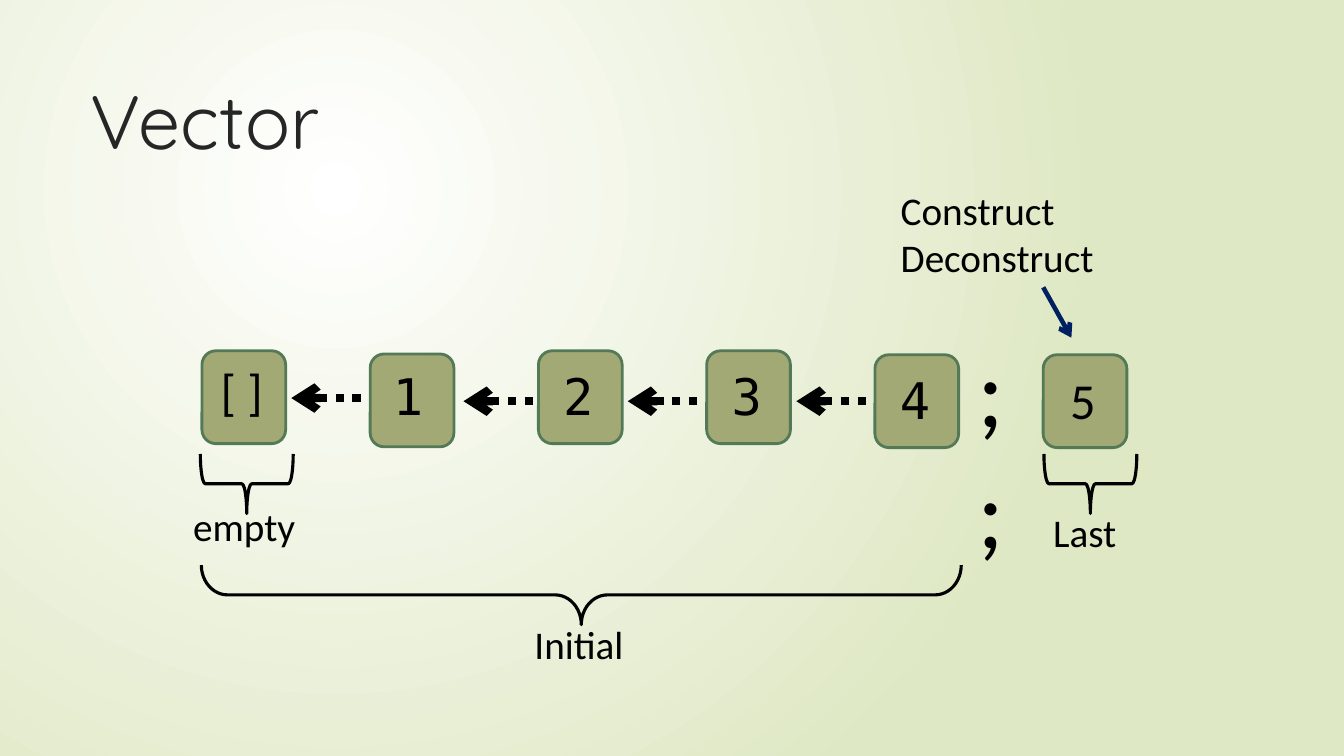
from dataclasses import dataclass

from lxml import etree
from pptx import Presentation
from pptx import util as u
from pptx.dml.color import RGBColor
from pptx.enum import dml, shapes, text
from pptx.oxml.ns import qn

COLORS = {
    "glow": "FFFFFF", "meadow": "DFE8C4", "cell": "A2A975", "edge": "547957",
    "title": "262626", "ink": "000000", "navy": "002060",
}
SANS, MONO, DISPLAY = "Calibri", "DejaVu Sans Mono", "Quicksand"
CELL_LEFT, CELL_STEP, CELL_WIDTH, CELL_HEIGHT = 5.09, 4.24, 2.11, 2.34
LINK_LENGTH = 1.9
BRACE_DEPTH = 1.5


@dataclass
class Label:
    words: str
    left: float
    top: float
    width: float
    height: float
    size: float = 28
    font: str = SANS
    color: str = "ink"
    grow: bool = True


@dataclass
class Cell:
    top: float
    label: Label
    grouped: bool = False


@dataclass
class Arrow:
    start: tuple[float, float]
    end: tuple[float, float]
    color: str
    weight: float
    tip: str
    dash: dml.MSO_LINE | None = None


@dataclass
class Brace:
    """A downward brace, given by its centre and horizontal span."""
    center_x: float
    center_y: float
    span: float
    curl: float | None = None


def number(words: str, left: float, top: float, width: float = 1.7, font: str = MONO) -> Label:
    return Label(words, left, top, width, 1.8, 36, font)


def link(left: float, y: float) -> Arrow:
    return Arrow((left, y), (left + LINK_LENGTH, y), "ink", 6, "a:headEnd", dml.MSO_LINE.ROUND_DOT)


CELLS = [
    Cell(8.84, number("[ ]", 5.31, 8.94, 1.9, SANS), True),
    Cell(8.92, number("1", 9.65, 9.07)),
    Cell(8.84, number("2", 13.94, 9.07)),
    Cell(8.84, number("3", 18.19, 9.07)),
    Cell(8.94, number("4", 22.43, 9.17, 1.9), True),
    Cell(8.94, number("5", 26.72, 9.17, 1.9, SANS), True),
]
LABELS = [
    Label("Vector", 2.03, 1.73, 29.82, 3.56, 54, DISPLAY, "title", False),
    Label("Construct\nDeconstruct", 22.45, 4.57, 6.99, 2.64),
    Label("empty", 4.62, 12.54, 3.1, 1.45),
    Label("Initial", 13.22, 15.5, 3, 1.45),
    Label("Last", 26.29, 12.69, 2.29, 1.45),
    Label(";;", 24.38, 8.1, 1.7, 3.33, 72),
]
ARROWS = [
    link(7.34, 10.03), link(11.68, 10.11), link(15.82, 10.11), link(20.07, 10.11),
    Arrow((26.29, 7.24), (27, 8.51), "navy", 3.25, "a:tailEnd"),
]
BRACES = [
    Brace(6.22, 12.19, 2.34),
    Brace(27.48, 12.19, 2.34),
    Brace(14.65, 14.99, 19.15, 0.44),
]


def rgb(name: str) -> RGBColor:
    return RGBColor.from_string(COLORS[name])


def apply(target, **values) -> None:
    for name, value in values.items():
        setattr(target, name, value)


def outline(line, color: str, weight: float) -> None:
    line.color.rgb = rgb(color)
    line.width = u.Pt(weight)


def paint_background(page) -> None:
    """Radial gradient glowing from the upper left quarter."""
    fill = page.background.fill
    fill.gradient()
    for stop, color, position in zip(fill.gradient_stops, ("glow", "meadow"), (0, 1)):
        stop.color.rgb = rgb(color)
        stop.position = position
    gradient = page.background._cSld.find(".//" + qn("a:gradFill"))
    linear = gradient.find(qn("a:lin"))
    radial = etree.Element(qn("a:path"), {"path": "circle"})
    etree.SubElement(radial, qn("a:fillToRect"), l="50000", t="50000", r="100000", b="100000")
    gradient.replace(linear, radial)


def add_label(holder, label: Label) -> None:
    box = holder.add_textbox(*map(u.Cm, (label.left, label.top, label.width, label.height)))
    fit = text.MSO_AUTO_SIZE.SHAPE_TO_FIT_TEXT if label.grow else text.MSO_AUTO_SIZE.NONE
    apply(box.text_frame, word_wrap=True, auto_size=fit)
    box.text_frame.text = label.words
    for para in box.text_frame.paragraphs:
        for span in para.runs:
            apply(span.font, name=label.font, size=u.Pt(label.size))
            span.font.color.rgb = rgb(label.color)


def add_cell(page, index: int, cell: Cell) -> None:
    holder = page.shapes.add_group_shape().shapes if cell.grouped else page.shapes
    left = CELL_LEFT + index * CELL_STEP
    square = holder.add_shape(
        shapes.MSO_SHAPE.ROUNDED_RECTANGLE,
        *map(u.Cm, (left, cell.top, CELL_WIDTH, CELL_HEIGHT)))
    square.shadow.inherit = False
    square.fill.solid()
    square.fill.fore_color.rgb = rgb("cell")
    outline(square.line, "edge", 2)
    add_label(holder, cell.label)


def add_arrow(page, arrow: Arrow) -> None:
    connector = page.shapes.add_connector(
        shapes.MSO_CONNECTOR.STRAIGHT, *map(u.Cm, (*arrow.start, *arrow.end)))
    outline(connector.line, arrow.color, arrow.weight)
    if arrow.dash is not None:
        connector.line.dash_style = arrow.dash
    properties = connector._element.spPr
    etree.SubElement(properties.find(qn("a:ln")), qn(arrow.tip), type="arrow")
    etree.SubElement(properties, qn("a:effectLst"))


def add_brace(page, brace: Brace) -> None:
    left = brace.center_x - BRACE_DEPTH / 2
    top = brace.center_y - brace.span / 2
    shape = page.shapes.add_shape(
        shapes.MSO_SHAPE.LEFT_BRACE, *map(u.Cm, (left, top, BRACE_DEPTH, brace.span)))
    shape.rotation = 270
    shape.shadow.inherit = False
    shape.fill.background()
    outline(shape.line, "ink", 2.25)
    if brace.curl is not None:
        shape.adjustments[0] = brace.curl


def main() -> None:
    deck = Presentation()
    apply(deck, slide_width=u.Cm(33.87), slide_height=u.Cm(19.05))
    page = deck.slides.add_slide(deck.slide_layouts[6])
    paint_background(page)
    for index, cell in enumerate(CELLS):
        add_cell(page, index, cell)
    for label in LABELS:
        add_label(page.shapes, label)
    for arrow in ARROWS:
        add_arrow(page, arrow)
    for brace in BRACES:
        add_brace(page, brace)
    deck.save("out.pptx")


if __name__ == "__main__":
    main()
